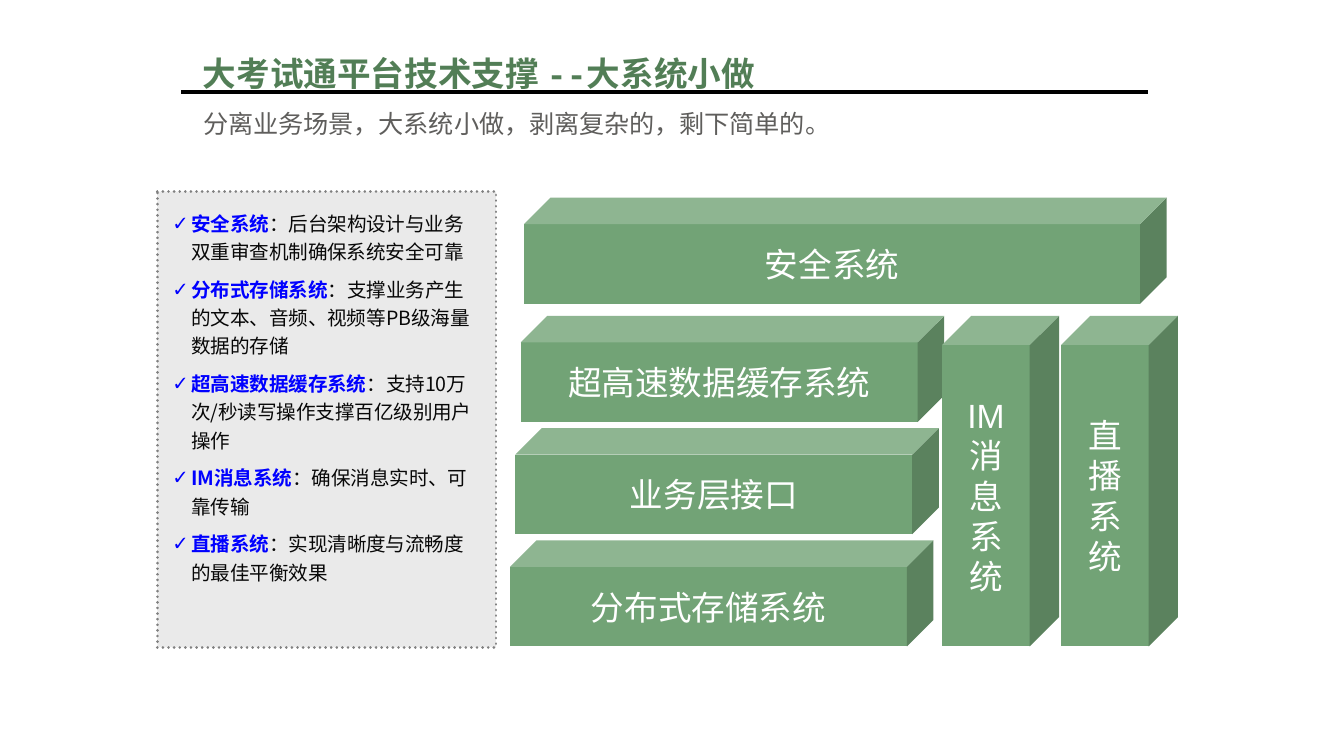
from pptx import Presentation
from pptx import util as u
from pptx.dml.color import RGBColor
from pptx.enum import dml, shapes, text
from pptx.oxml import parse_xml
from pptx.oxml.ns import nsdecls, qn

SCALE = 4572
GREEN = RGBColor(0x72, 0xA3, 0x76)
DARK_GREEN = RGBColor(0x52, 0x7E, 0x56)
GREY = RGBColor(0x5F, 0x5E, 0x5C)
MID_GREY = RGBColor(0x80, 0x80, 0x80)
CHARCOAL = RGBColor(0x33, 0x33, 0x33)
INK = RGBColor(0x08, 0x08, 0x08)
BLUE = RGBColor(0x00, 0x00, 0xFF)
BLACK = RGBColor(0x00, 0x00, 0x00)
WHITE = RGBColor(0xFF, 0xFF, 0xFF)
SANS = "Noto Sans CJK SC"

FEATURES = [
    ("安全系统", "后台架构设计与业务双重审查机制确保系统安全可靠"),
    ("分布式存储系统", "支撑业务产生的文本、音频、视频等PB级海量数据的存储"),
    ("超高速数据缓存系统", "支持10万次/秒读写操作支撑百亿级别用户操作"),
    ("IM消息系统", "确保消息实时、可靠传输"),
    ("直播系统", "实现清晰度与流畅度的最佳平衡效果"),
]
LAYERS = ["分布式存储系统", "业务层接口", "超高速数据缓存系统"]
COLUMNS = ["IM消息系统", "直播系统"]


def px(*lengths):
    """Turn whole px into EMU lengths."""
    return [u.Emu(length * SCALE) for length in lengths]


def write(para, words, *, size, color, font=SANS, bold=False, align=None):
    """Add one formatted span to a paragraph."""
    para.alignment = align
    span = para.add_run()
    span.text = words
    span.font.size = u.Pt(size)
    span.font.name = font
    span.font.bold = bold
    span.font.color.rgb = color
    east = parse_xml(f'<a:ea {nsdecls("a")} typeface="{SANS}"/>')
    span.font._element.find(qn("a:latin")).addnext(east)


class Builder:
    """Hold the style and the current page."""

    def __init__(self, deck):
        """Open a title-only page in the deck."""
        self.page = deck.slides.add_slide(deck.slide_layouts[5])

    def title(self, words, *place):
        """Place and format the title."""
        box = self.page.shapes.title
        box.left, box.top, box.width, box.height = px(*place)
        frame = box.text_frame
        frame.auto_size = text.MSO_AUTO_SIZE.NONE
        frame.vertical_anchor = text.MSO_ANCHOR.BOTTOM
        para = frame.paragraphs[0]
        para.line_spacing = 0.9
        write(para, words, size=18, color=DARK_GREEN, font="Courier New",
              bold=True, align=text.PP_ALIGN.LEFT)

    def rule(self, *ends):
        """Draw a black straight line."""
        line = self.page.shapes.add_connector(shapes.MSO_CONNECTOR.STRAIGHT, *px(*ends))
        line.line.color.rgb = BLACK
        line.line.width = u.Pt(2.25)
        line._element.spPr.append(parse_xml(f'<a:effectLst {nsdecls("a")}/>'))

    def frame(self, *place):
        """Add a wrapping text box and return its frame."""
        frame = self.page.shapes.add_textbox(*px(*place)).text_frame
        frame.word_wrap = True
        return frame

    def subtitle(self, words, *place):
        """Add the line under the title."""
        write(self.frame(*place).paragraphs[0], words, size=13.5, color=GREY)

    def cube(self, words, *place):
        """Add a labelled green block."""
        block = self.page.shapes.add_shape(shapes.MSO_SHAPE.CUBE, *px(*place))
        block.shadow.inherit = False
        block.fill.solid()
        block.fill.fore_color.rgb = GREEN
        block.line.fill.background()
        frame = block.text_frame
        frame.word_wrap = True
        frame.vertical_anchor = text.MSO_ANCHOR.MIDDLE
        write(frame.paragraphs[0], words, size=18, color=WHITE, font="Arial",
              align=text.PP_ALIGN.CENTER)

    def panel(self, *place):
        """Add the translucent panel with a dotted outline."""
        panel = self.page.shapes.add_shape(shapes.MSO_SHAPE.ROUNDED_RECTANGLE, *px(*place))
        panel.adjustments[0] = 0
        panel.shadow.inherit = False
        panel.fill.solid()
        panel.fill.fore_color.rgb = CHARCOAL
        tint = panel._element.spPr.find(qn("a:solidFill"))[0]
        tint.append(parse_xml(f'<a:alpha {nsdecls("a")} val="10000"/>'))
        panel.line.color.rgb = MID_GREY
        panel.line.width = u.Pt(1.5)
        panel.line.dash_style = dml.MSO_LINE.ROUND_DOT
        panel._element.spPr.find(qn("a:ln")).set("cap", "rnd")

    def checklist(self, items, *place):
        """Add check-marked paragraphs with bold blue leads."""
        frame = self.frame(*place)
        for index, (lead, detail) in enumerate(items):
            para = frame.add_paragraph() if index else frame.paragraphs[0]
            para.line_spacing = 1.2
            para.space_before = u.Pt(5.2)
            write(para, lead, size=10.5, color=BLUE, bold=True)
            write(para, "：" + detail, size=10.5, color=INK)
            props = para._p.get_or_add_pPr()
            indent = px(28)[0]
            props.set("marL", str(indent))
            props.set("indent", str(-indent))
            props.append(parse_xml(f'<a:buFont {nsdecls("a")} typeface="Arial"/>'))
            props.append(parse_xml(f'<a:buChar {nsdecls("a")} char="✓"/>'))


def main():
    """Build and save the deck."""
    deck = Presentation()
    deck.slide_width, deck.slide_height = px(2000, 1125)
    page = Builder(deck)
    page.title("大考试通平台技术支撑 --大系统小做", 282, 46, 1502, 104)
    page.rule(270, 137, 1708, 137)
    page.subtitle("分离业务场景，大系统小做，剥离复杂的，剩下简单的。", 283, 152, 1384, 66)
    for index, words in enumerate(LAYERS):
        page.cube(words, 759 + 8 * index, 804 - 167 * index, 630, 158)
    for index, words in enumerate(COLUMNS):
        page.cube(words, 1402 + 177 * index, 470, 174, 492)
    page.cube("安全系统", 780, 294, 956, 158)
    page.panel(234, 285, 504, 678)
    page.checklist(FEATURES, 237, 299, 496, 600)
    deck.save("out.pptx")


if __name__ == "__main__":
    main()
